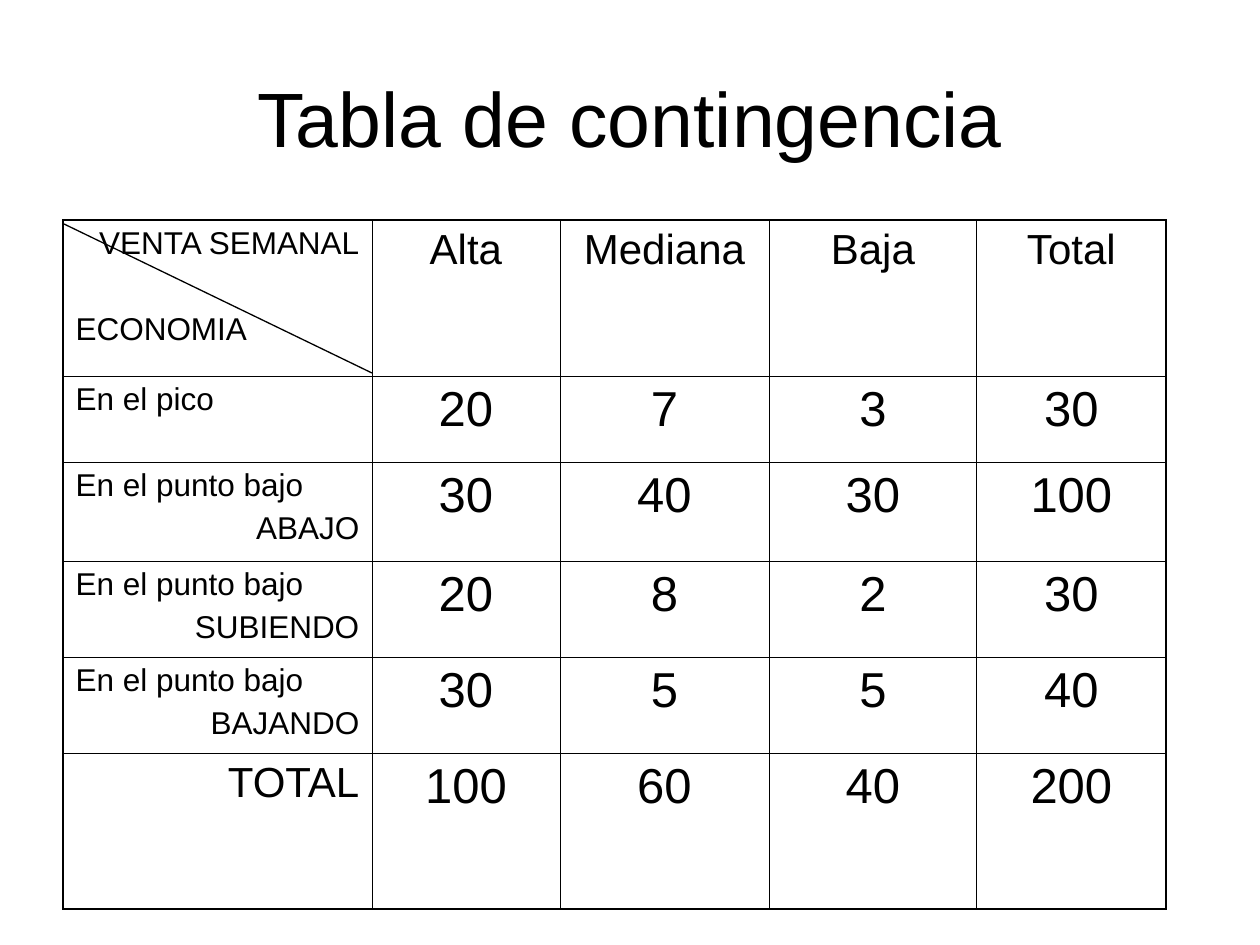
"""Build a slide with a contingency table of weekly sales by state of the economy."""
import lxml.etree
import pptx
import pptx.dml.color
import pptx.enum.shapes
import pptx.enum.text
import pptx.oxml.ns
import pptx.util

ALIGN = pptx.enum.text.PP_ALIGN
TITLE = "Tabla de contingencia"
CORNER = [("VENTA SEMANAL", ALIGN.RIGHT), ("ECONOMIA", ALIGN.LEFT)]
HEADS = ["Alta", "Mediana", "Baja", "Total"]
ROWS = [
    (["En el pico"], [20, 7, 3, 30]),
    (["En el punto bajo", "ABAJO"], [30, 40, 30, 100]),
    (["En el punto bajo", "SUBIENDO"], [20, 8, 2, 30]),
    (["En el punto bajo", "BAJANDO"], [30, 5, 5, 40]),
]
TOTALS = ("TOTAL", [100, 60, 40, 200])

THEME = {
    "ink": pptx.dml.color.RGBColor(0, 0, 0),
    "font": "Arial",
    "title": 44, "label": 18, "head": 24, "value": 28,
    "inner": 0.45, "outer": 1.08, "diagonal": 0.75,
    "label_gap": 4.5, "corner_gap": 29,
}
PX = 914400 // 126
TITLE_BOX = {"left": 63, "top": 38, "width": 1134, "height": 157}
TABLE_LEFT, TABLE_TOP = 63, 220
COL_WIDTHS = [309, 188, 209, 208, 189]
ROW_HEIGHTS = [156, 86, 99, 96, 96, 156]
DIAGONAL = (64, 224, 372, 373)


def px(n):
    return pptx.util.Emu(n * PX)


def assign(obj, values):
    for name, value in values.items():
        setattr(obj, name, value)


def write(tf, lines, size, gap=0):
    for i, (text, align) in enumerate(lines):
        p = tf.paragraphs[0] if i == 0 else tf.add_paragraph()
        p.alignment = align
        if i:
            p.space_before = pptx.util.Pt(gap)
        r = p.add_run()
        r.text = text
        assign(r.font, {"name": THEME["font"], "size": pptx.util.Pt(size), "bold": False})
        r.font.color.rgb = THEME["ink"]


def add_borders(cell, outer_sides):
    tc_pr = cell._tc.get_or_add_tcPr()
    qn = pptx.oxml.ns.qn
    for side in "LRTB":
        width = THEME["outer" if side in outer_sides else "inner"]
        ln = lxml.etree.SubElement(tc_pr, qn("a:ln" + side), w=str(int(pptx.util.Pt(width))))
        fill = lxml.etree.SubElement(ln, qn("a:solidFill"))
        lxml.etree.SubElement(fill, qn("a:srgbClr"), val=str(THEME["ink"]))


def table_content():
    def centred(values, size):
        return [([(str(v), ALIGN.CENTER)], size, 0) for v in values]

    grid = [[(CORNER, THEME["label"], THEME["corner_gap"])] + centred(HEADS, THEME["head"])]
    for label, values in ROWS:
        lines = list(zip(label, [ALIGN.LEFT, ALIGN.RIGHT]))
        grid.append([(lines, THEME["label"], THEME["label_gap"])] + centred(values, THEME["value"]))
    label, values = TOTALS
    grid.append([([(label, ALIGN.RIGHT)], THEME["head"], 0)] + centred(values, THEME["value"]))
    return grid


def add_table(s):
    grid = table_content()
    n_rows, n_cols = len(ROW_HEIGHTS), len(COL_WIDTHS)
    table = s.shapes.add_table(n_rows, n_cols, px(TABLE_LEFT), px(TABLE_TOP),
                               px(sum(COL_WIDTHS)), px(sum(ROW_HEIGHTS))).table
    assign(table, {"first_row": False, "horz_banding": False})
    for col, width in zip(table.columns, COL_WIDTHS):
        col.width = px(width)
    for row, height in zip(table.rows, ROW_HEIGHTS):
        row.height = px(height)
    for i, line in enumerate(grid):
        for j, (lines, size, gap) in enumerate(line):
            cell = table.cell(i, j)
            write(cell.text_frame, lines, size, gap)
            edges = {"L": j == 0, "R": j == n_cols - 1, "T": i == 0, "B": i == n_rows - 1}
            add_borders(cell, [side for side, on_edge in edges.items() if on_edge])
            cell.fill.background()


def add_diagonal(s):
    line = s.shapes.add_connector(pptx.enum.shapes.MSO_CONNECTOR.STRAIGHT, *map(px, DIAGONAL))
    line.line.color.rgb = THEME["ink"]
    line.line.width = pptx.util.Pt(THEME["diagonal"])
    lxml.etree.SubElement(line._element.spPr, pptx.oxml.ns.qn("a:effectLst"))


def main():
    prs = pptx.Presentation()
    assign(prs, {"slide_width": px(1260), "slide_height": px(945)})
    s = prs.slides.add_slide(prs.slide_layouts[5])
    title = s.shapes.title
    assign(title, {name: px(n) for name, n in TITLE_BOX.items()})
    title.text_frame.vertical_anchor = pptx.enum.text.MSO_ANCHOR.MIDDLE
    write(title.text_frame, [(TITLE, ALIGN.CENTER)], THEME["title"])
    add_table(s)
    add_diagonal(s)
    prs.save("out.pptx")


if __name__ == "__main__":
    main()
